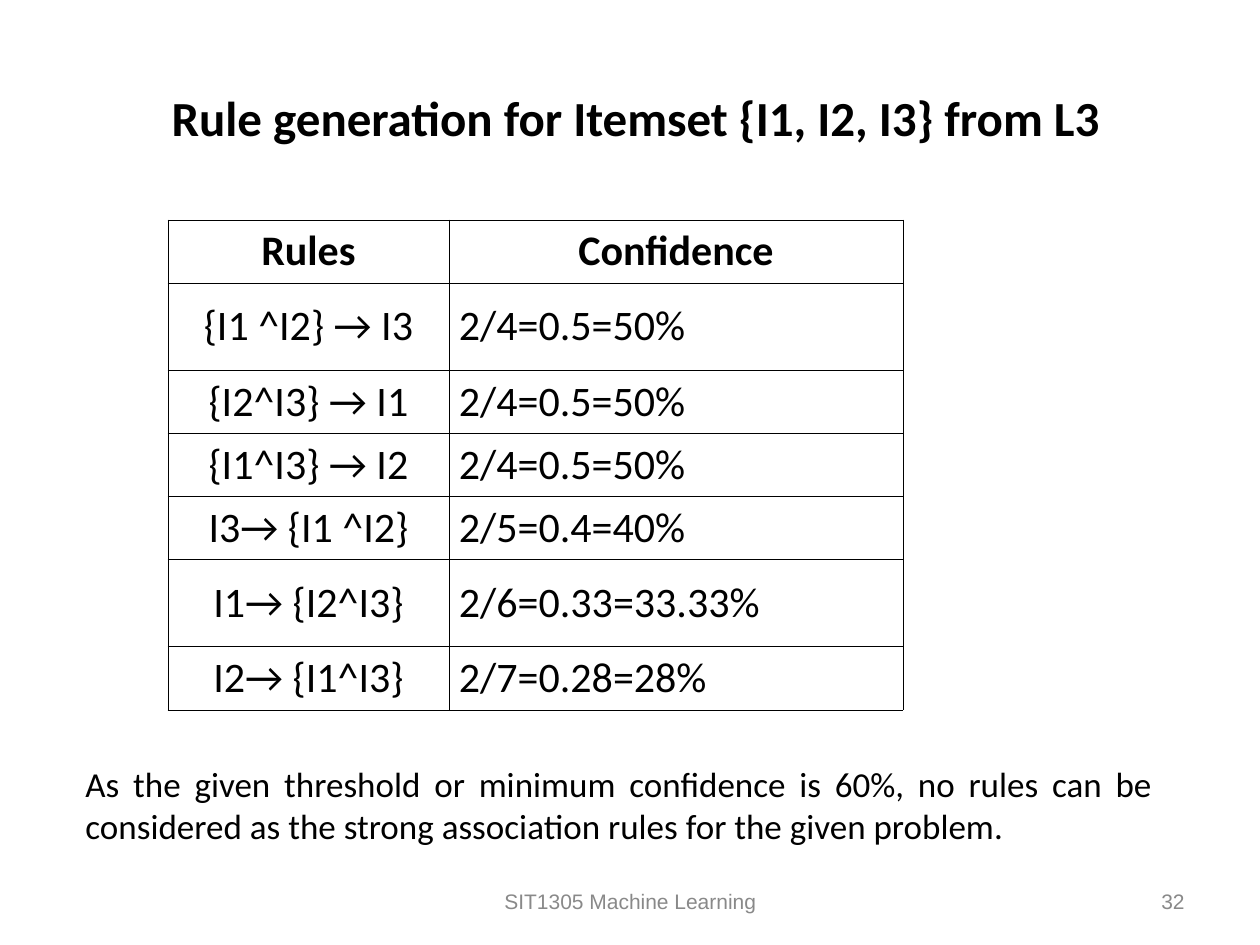
import dataclasses
import typing

import lxml.etree
import pptx
import pptx.dml.color
import pptx.enum.text
import pptx.oxml.ns
import pptx.util

Align = pptx.enum.text.PP_ALIGN
Anchor = pptx.enum.text.MSO_ANCHOR
DPI = 126


@dataclasses.dataclass(frozen=True)
class Style:
    size: int
    font: str
    color: str
    bold: bool = False


@dataclasses.dataclass(frozen=True)
class Theme:
    title: Style = Style(28, "Calibri", "000000", True)
    head: Style = Style(24, "Calibri", "000000", True)
    cell: Style = Style(24, "Calibri", "000000")
    note: Style = Style(20, "Calibri", "000000")
    foot: Style = Style(12, "Arial", "898989")
    paper: str = "FFFFFF"
    rule: str = "000000"
    line: float = 0.45


class Box(typing.NamedTuple):
    left: int
    top: int
    width: int
    height: int


class Label(typing.NamedTuple):
    text: str
    box: Box
    style: Style
    align: Align
    anchor: Anchor


class Rule(typing.NamedTuple):
    name: str
    value: str
    height: int


THEME = Theme()
LOW, HIGH = 60, 87
COLS = (281, 454)
RULES = (
    Rule("Rules", "Confidence", LOW),
    Rule("{I1 ^I2} → I3", "2/4=0.5=50%", HIGH),
    Rule("{I2^I3} → I1", "2/4=0.5=50%", LOW),
    Rule("{I1^I3} → I2", "2/4=0.5=50%", LOW),
    Rule("I3→ {I1 ^I2}", "2/5=0.4=40%", LOW),
    Rule("I1→ {I2^I3}", "2/6=0.33=33.33%", HIGH),
    Rule("I2→ {I1^I3}", "2/7=0.28=28%", LOW),
)
LABELS = (
    Label("SIT1305 Machine Learning", Box(431, 876, 399, 50),
          THEME.foot, Align.CENTER, Anchor.MIDDLE),
    Label("32", Box(903, 876, 294, 50),
          THEME.foot, Align.RIGHT, Anchor.MIDDLE),
    Label("As the given threshold or minimum confidence is 60%, no rules can be "
          "considered as the strong association rules for the given problem.",
          Box(73, 756, 1092, 97), THEME.note, Align.JUSTIFY, Anchor.TOP),
)


def px(n: int) -> pptx.util.Emu:
    return pptx.util.Emu(round(n * 914400 / DPI))


def rgb(code: str) -> pptx.dml.color.RGBColor:
    return pptx.dml.color.RGBColor.from_string(code)


def write(frame, text: str, style: Style, align: Align) -> None:
    frame.text = text
    frame.word_wrap = True
    para = frame.paragraphs[0]
    para.alignment = align
    for run in para.runs:
        run.font.size = pptx.util.Pt(style.size)
        run.font.name = style.font
        run.font.bold = style.bold
        run.font.color.rgb = rgb(style.color)


def draw_title(slide, text: str, box: Box) -> None:
    title = slide.shapes.title
    title.left, title.top, title.width, title.height = map(px, box)
    write(title.text_frame, text, THEME.title, Align.CENTER)
    title.text_frame.vertical_anchor = Anchor.MIDDLE


def draw_label(slide, label: Label) -> None:
    frame = slide.shapes.add_textbox(*map(px, label.box)).text_frame
    write(frame, label.text, label.style, label.align)
    frame.vertical_anchor = label.anchor


def edge(cell) -> None:
    props = cell._tc.get_or_add_tcPr()
    name = pptx.oxml.ns.qn
    for spot, side in enumerate(("a:lnL", "a:lnR", "a:lnT", "a:lnB")):
        line = lxml.etree.Element(name(side), w=str(pptx.util.Pt(THEME.line)))
        fill = lxml.etree.SubElement(line, name("a:solidFill"))
        lxml.etree.SubElement(fill, name("a:srgbClr"), val=THEME.rule)
        props.insert(spot, line)


def draw_cell(cell, text: str, style: Style, align: Align) -> None:
    write(cell.text_frame, text, style, align)
    cell.vertical_anchor = Anchor.MIDDLE
    cell.margin_left = cell.margin_right = px(10)
    cell.margin_top = cell.margin_bottom = px(6)
    cell.fill.solid()
    cell.fill.fore_color.rgb = rgb(THEME.paper)
    edge(cell)


def draw_table(slide, left: int, top: int) -> None:
    box = Box(left, top, sum(COLS), sum(rule.height for rule in RULES))
    table = slide.shapes.add_table(len(RULES), len(COLS), *map(px, box)).table
    table.horz_banding = False
    for col, width in zip(table.columns, COLS):
        col.width = px(width)
    for i, rule in enumerate(RULES):
        table.rows[i].height = px(rule.height)
        style = THEME.cell if i else THEME.head
        draw_cell(table.cell(i, 0), rule.name, style, Align.CENTER)
        draw_cell(table.cell(i, 1), rule.value, style,
                  Align.LEFT if i else Align.CENTER)


def main() -> None:
    deck = pptx.Presentation()
    deck.slide_width, deck.slide_height = px(1260), px(945)
    slide = deck.slides.add_slide(deck.slide_layouts[5])
    draw_title(slide, " Rule generation for Itemset {I1, I2, I3} from L3",
               Box(63, 38, 1134, 158))
    draw_table(slide, 168, 220)
    for label in LABELS:
        draw_label(slide, label)
    deck.save("out.pptx")


if __name__ == "__main__":
    main()
